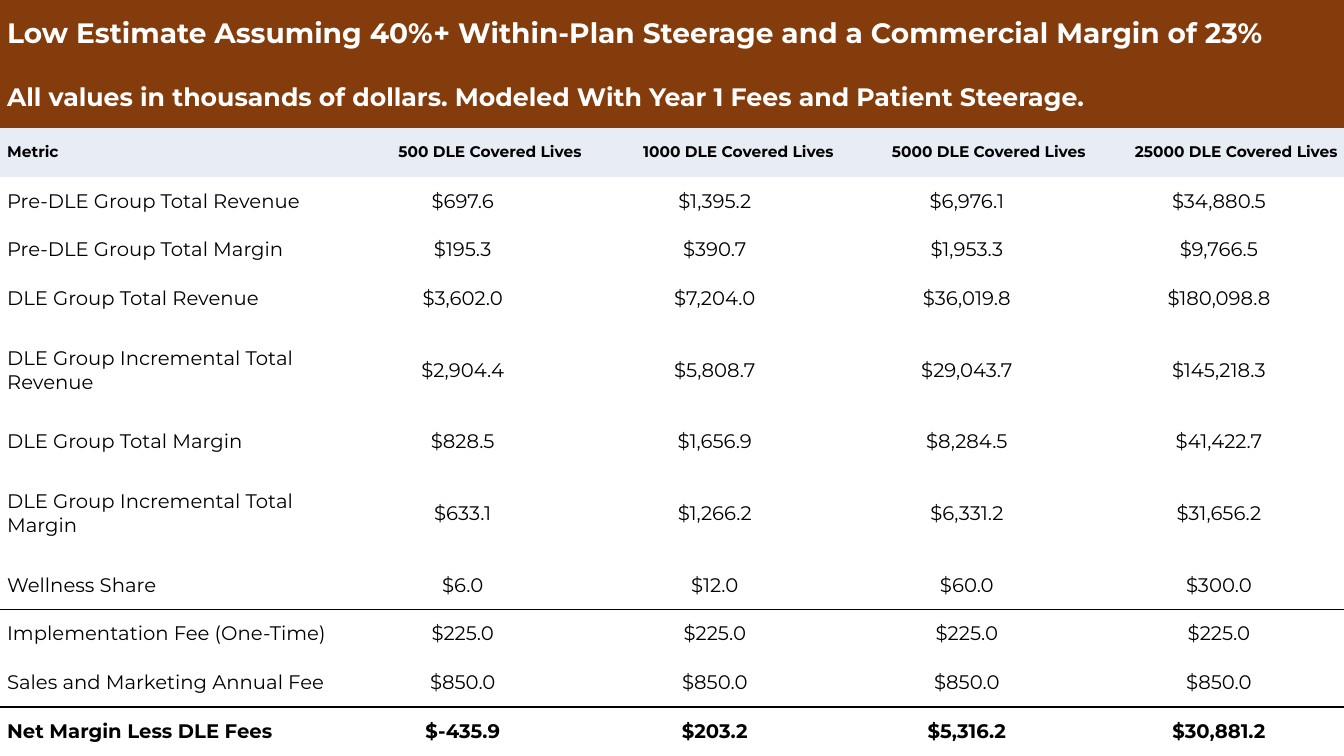
from dataclasses import dataclass

from lxml import etree
from pptx import Presentation
from pptx.dml.color import RGBColor
from pptx.enum.text import MSO_ANCHOR, PP_ALIGN
from pptx.oxml.ns import qn
from pptx.table import Table, _Cell
from pptx.util import Inches, Pt

LEFT, CENTER, RIGHT = PP_ALIGN.LEFT, PP_ALIGN.CENTER, PP_ALIGN.RIGHT
MIDDLE = MSO_ANCHOR.MIDDLE

WHITE = RGBColor(0xFF, 0xFF, 0xFF)
BLACK = RGBColor(0x00, 0x00, 0x00)
BROWN = RGBColor(0x84, 0x3C, 0x0C)
PALE_BLUE = RGBColor(0xE7, 0xEC, 0xF5)

FONT = "Montserrat"
SLIDE_WIDTH, SLIDE_HEIGHT = 13.33, 7.5
METRIC_WIDTH, VALUE_WIDTH, VALUE_COLUMNS = 3.34, 2.5, 4
TITLE_HEIGHT, SUBTITLE_HEIGHT, TALL_HEIGHT = 0.67, 0.6, 0.94
SIDE_INDENT = Inches(0.07)
RULE_WIDTH = Pt(1)
PLAIN_TABLE_STYLE = "{2D5ABB26-0587-4C30-8999-92F81FD0307C}"


@dataclass(frozen=True)
class RowStyle:
    size: int
    bold: bool
    color: RGBColor
    fill: RGBColor | None
    value_alignment: PP_ALIGN = CENTER


@dataclass(frozen=True)
class TableRow:
    texts: tuple[str, ...]
    style: RowStyle
    height: float | None = None
    rule: str | None = None


TITLE = RowStyle(20, True, WHITE, BROWN)
SUBTITLE = RowStyle(18, True, WHITE, BROWN)
HEADER = RowStyle(11, True, BLACK, PALE_BLUE, RIGHT)
BODY = RowStyle(14, False, BLACK, None)
TOTAL = RowStyle(14, True, BLACK, None)

ABOVE, BELOW = "a:lnT", "a:lnB"
SIDES = ("a:lnL", "a:lnR", ABOVE, BELOW)

ROWS = (
    TableRow(("Low Estimate Assuming 40%+ Within-Plan Steerage and a Commercial Margin of 23%",),
             TITLE, TITLE_HEIGHT),
    TableRow(("All values in thousands of dollars. Modeled With Year 1 Fees and Patient Steerage.",),
             SUBTITLE, SUBTITLE_HEIGHT),
    TableRow(("Metric", "500 DLE Covered Lives", "1000 DLE Covered Lives",
              "5000 DLE Covered Lives", "25000 DLE Covered Lives"), HEADER),
    TableRow(("Pre-DLE Group Total Revenue", "$697.6", "$1,395.2", "$6,976.1", "$34,880.5"), BODY),
    TableRow(("Pre-DLE Group Total Margin", "$195.3", "$390.7", "$1,953.3", "$9,766.5"), BODY),
    TableRow(("DLE Group Total Revenue", "$3,602.0", "$7,204.0", "$36,019.8", "$180,098.8"), BODY),
    TableRow(("DLE Group Incremental Total Revenue", "$2,904.4", "$5,808.7", "$29,043.7", "$145,218.3"),
             BODY, TALL_HEIGHT),
    TableRow(("DLE Group Total Margin", "$828.5", "$1,656.9", "$8,284.5", "$41,422.7"), BODY),
    TableRow(("DLE Group Incremental Total Margin", "$633.1", "$1,266.2", "$6,331.2", "$31,656.2"),
             BODY, TALL_HEIGHT),
    TableRow(("Wellness Share", "$6.0", "$12.0", "$60.0", "$300.0"), BODY, rule=BELOW),
    TableRow(("Implementation Fee (One-Time)", "$225.0", "$225.0", "$225.0", "$225.0"), BODY, rule=ABOVE),
    TableRow(("Sales and Marketing Annual Fee", "$850.0", "$850.0", "$850.0", "$850.0"), BODY, rule=BELOW),
    TableRow(("Net Margin Less DLE Fees", "$-435.9", "$203.2", "$5,316.2", "$30,881.2"), TOTAL, rule=ABOVE),
)


def set_attributes(target: object, values: dict[str, object]) -> None:
    for name, value in values.items():
        setattr(target, name, value)


def set_borders(cell: _Cell, rule: str | None) -> None:
    properties = cell._tc.get_or_add_tcPr()
    for side in SIDES:
        line = etree.SubElement(properties, qn(side), w=str(RULE_WIDTH))
        if side == rule:
            fill = etree.SubElement(line, qn("a:solidFill"))
            etree.SubElement(fill, qn("a:srgbClr"), val=str(BLACK))
        else:
            etree.SubElement(line, qn("a:noFill"))


def format_cell(cell: _Cell, row: TableRow) -> None:
    set_attributes(cell, {"margin_left": 0, "margin_right": 0, "margin_top": 0,
                          "margin_bottom": 0, "vertical_anchor": MIDDLE})
    set_borders(cell, row.rule)
    if row.style.fill is None:
        cell.fill.background()
    else:
        cell.fill.solid()
        cell.fill.fore_color.rgb = row.style.fill


def write_cell(cell: _Cell, text: str, style: RowStyle, alignment: PP_ALIGN) -> None:
    paragraph = cell.text_frame.paragraphs[0]
    paragraph.alignment = alignment
    properties = paragraph._p.get_or_add_pPr()
    for name, value in {"marL": SIDE_INDENT, "marR": SIDE_INDENT, "indent": 0}.items():
        properties.set(name, str(value))
    run = paragraph.add_run()
    run.text = text
    set_attributes(run.font, {"name": FONT, "size": Pt(style.size), "bold": style.bold})
    run.font.color.rgb = style.color


def fill_table(table: Table) -> None:
    fixed_heights = [row.height for row in ROWS if row.height]
    normal_height = (SLIDE_HEIGHT - sum(fixed_heights)) / (len(ROWS) - len(fixed_heights))
    for row_index, row in enumerate(ROWS):
        table.rows[row_index].height = Inches(row.height or normal_height)
        cells = [table.cell(row_index, column) for column in range(VALUE_COLUMNS + 1)]
        for cell in cells:
            format_cell(cell, row)
        if len(row.texts) == 1:
            cells[0].merge(cells[-1])
        for column, text in enumerate(row.texts):
            alignment = row.style.value_alignment if column else LEFT
            write_cell(cells[column], text, row.style, alignment)


def main() -> None:
    presentation = Presentation()
    set_attributes(presentation, {"slide_width": Inches(SLIDE_WIDTH),
                                  "slide_height": Inches(SLIDE_HEIGHT)})
    slide = presentation.slides.add_slide(presentation.slide_layouts[6])
    shape = slide.shapes.add_table(len(ROWS), VALUE_COLUMNS + 1, 0, 0,
                                   presentation.slide_width, presentation.slide_height)
    table = shape.table
    set_attributes(table, {"first_row": False, "horz_banding": False})
    table._tbl.tblPr.find(qn("a:tableStyleId")).text = PLAIN_TABLE_STYLE
    for index, column in enumerate(table.columns):
        column.width = Inches(VALUE_WIDTH if index else METRIC_WIDTH)
    fill_table(table)
    presentation.save("out.pptx")


if __name__ == "__main__":
    main()
